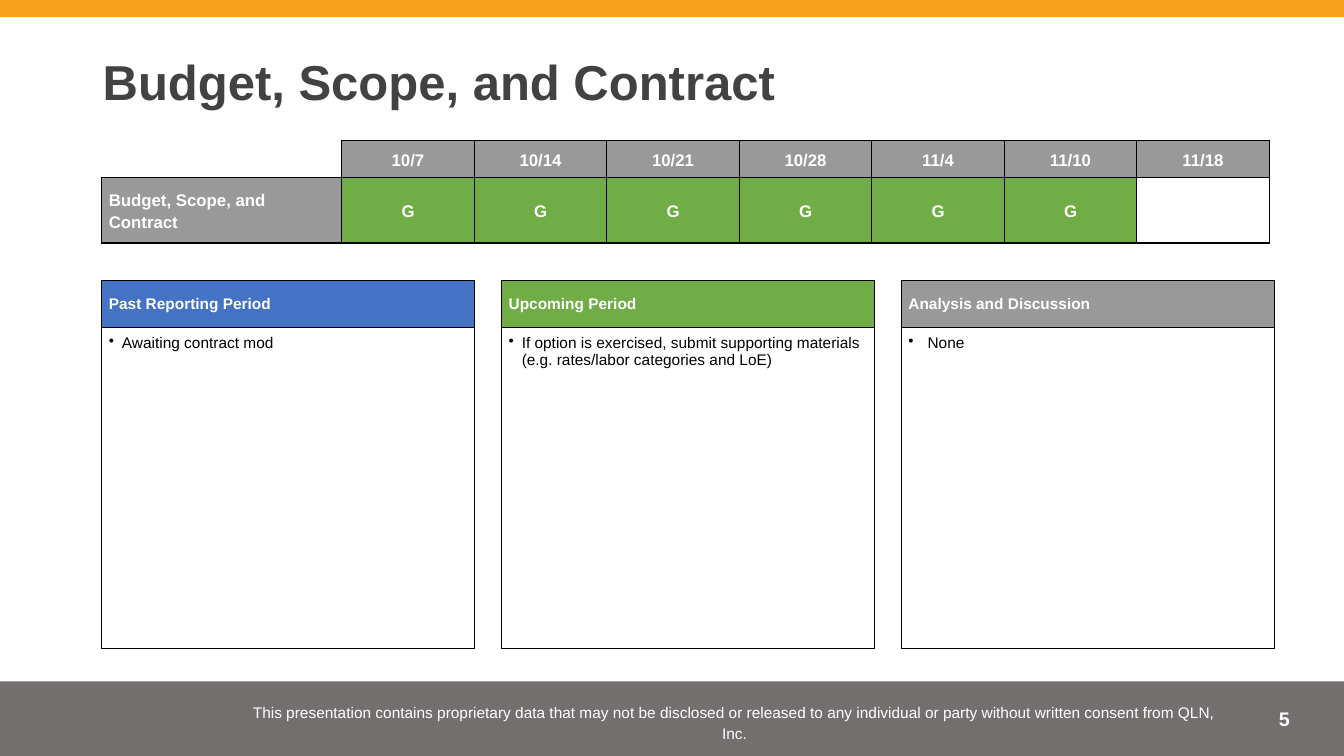
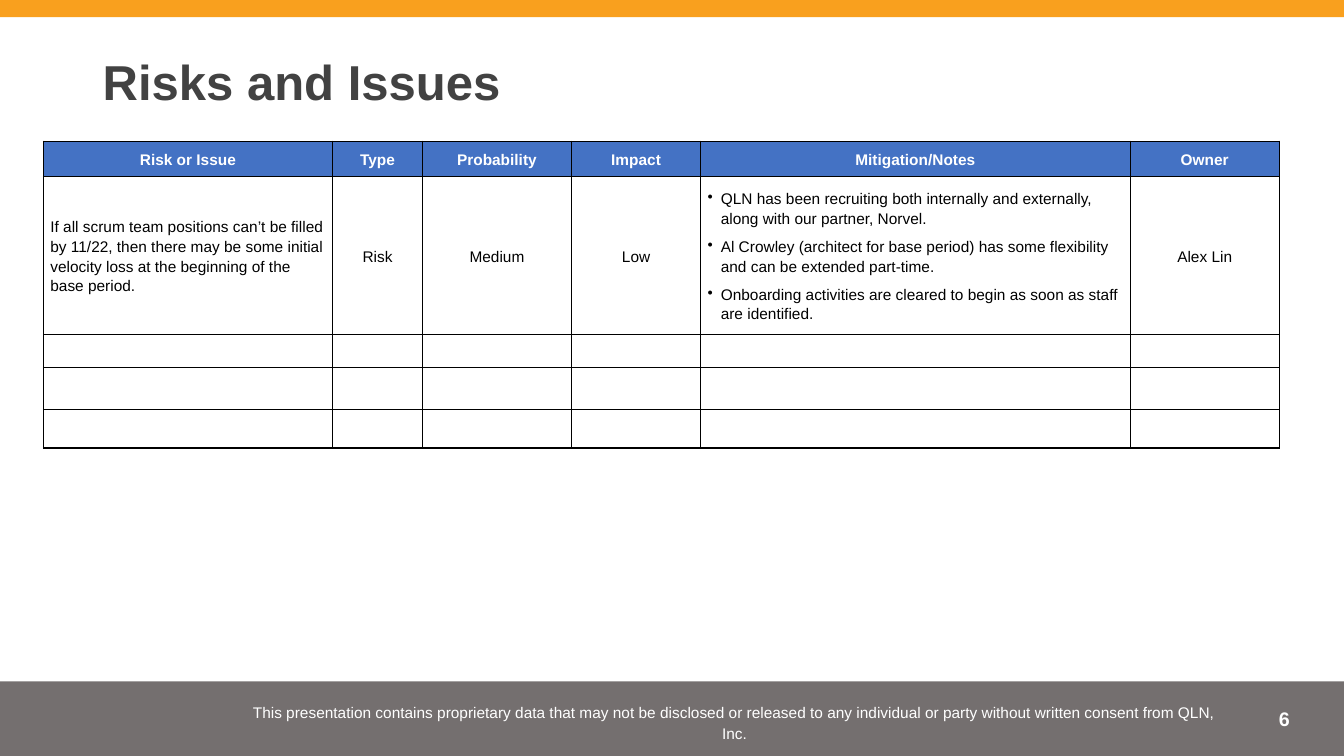
from lxml.etree import SubElement
from pptx import Presentation
from pptx.dml.color import RGBColor
from pptx.enum.shapes import MSO_SHAPE as Shape
from pptx.enum.text import MSO_ANCHOR as Anchor, PP_ALIGN as Align
from pptx.oxml.ns import qn
from pptx.util import Inches, Pt

ORANGE = RGBColor(0xF9, 0xA0, 0x1E)
BAND = RGBColor(0x4F, 0x49, 0x49)
TITLE = RGBColor(0x42, 0x42, 0x42)
GRAY = RGBColor(0x99, 0x99, 0x99)
GREEN = RGBColor(0x70, 0xAD, 0x47)
BLUE = RGBColor(0x44, 0x72, 0xC4)
WHITE = RGBColor(0xFF, 0xFF, 0xFF)
BLACK = RGBColor(0, 0, 0)

FONT = "Arial"
SLIDE_WIDTH, SLIDE_HEIGHT = 13.33, 7.5
CELL_INSET = 0.07
NOTICE = ("This presentation contains proprietary data that may not be disclosed or "
          "released to any individual or party without written consent from QLN, Inc.")


def write_text(frame, *lines, size=11, color=BLACK, bold=False, align=Align.LEFT,
               spacing=1.0, bullet_indent=0):
    """Write one paragraph per line, bulleted when an indent is given."""
    for index, line in enumerate(lines):
        paragraph = frame.add_paragraph() if index else frame.paragraphs[0]
        paragraph.alignment = align
        paragraph.line_spacing = spacing
        if bullet_indent:
            paragraph.space_after = Pt(6)
            properties = paragraph._p.get_or_add_pPr()
            properties.set("marL", str(Inches(bullet_indent)))
            properties.set("indent", str(-Inches(bullet_indent)))
            SubElement(properties, qn("a:buChar"), char="•")
        if not line:
            SubElement(paragraph._p, qn("a:endParaRPr"), sz=str(size * 100))
            continue
        run = paragraph.add_run()
        run.text = line
        run.font.name = FONT
        run.font.size = Pt(size)
        run.font.bold = bold
        run.font.color.rgb = color


def add_text(slide, box, text, inset=0.1, anchor=Anchor.MIDDLE, **style):
    frame = slide.shapes.add_textbox(*map(Inches, box)).text_frame
    frame.word_wrap = True
    frame.vertical_anchor = anchor
    frame.margin_left = frame.margin_right = Inches(0.1)
    frame.margin_top = frame.margin_bottom = Inches(inset)
    write_text(frame, text, **style)


def add_band(slide, top, height, color, opacity=100):
    band = slide.shapes.add_shape(
        Shape.RECTANGLE, 0, Inches(top), Inches(SLIDE_WIDTH), Inches(height))
    band.shadow.inherit = False
    band.line.fill.background()
    band.fill.solid()
    band.fill.fore_color.rgb = color
    if opacity < 100:
        color_element = band.fill._xPr.find(qn("a:solidFill"))[0]
        SubElement(color_element, qn("a:alpha"), val=str(opacity * 1000))


def add_grid(slide, left, top, columns, rows):
    """Add an unstyled table with the given column widths and row heights."""
    table = slide.shapes.add_table(
        len(rows), len(columns), Inches(left), Inches(top),
        Inches(sum(columns)), Inches(sum(rows))).table
    table.first_row = table.horz_banding = False
    for column, width in zip(table.columns, columns):
        column.width = Inches(width)
    for row, height in zip(table.rows, rows):
        row.height = Inches(height)
    return table


def fill_cell(cell, *lines, fill=WHITE, anchor=Anchor.MIDDLE, borders="LRTB", **style):
    properties = cell._tc.get_or_add_tcPr()
    for side in "LRTB":
        line = SubElement(properties, qn(f"a:ln{side}"), w=str(Pt(1)))
        if side in borders:
            solid = SubElement(line, qn("a:solidFill"))
            SubElement(solid, qn("a:srgbClr"), val=str(BLACK))
        else:
            SubElement(line, qn("a:noFill"))
    cell.fill.solid()
    cell.fill.fore_color.rgb = fill
    cell.vertical_anchor = anchor
    cell.margin_left = cell.margin_right = Inches(CELL_INSET)
    cell.margin_top = cell.margin_bottom = Inches(CELL_INSET)
    write_text(cell.text_frame, *(lines or [""]), **style)


def add_base_slide(presentation, title, number):
    """Add a slide with the shared bands, footer and title."""
    slide = presentation.slides.add_slide(presentation.slide_layouts[6])
    add_band(slide, 6.76, 0.74, BAND, opacity=79)
    add_band(slide, 0, 0.17, ORANGE)
    add_text(slide, (11.81, 6.96, 1.08, 0.4), str(number), inset=0.05,
             anchor=Anchor.TOP, size=14, color=WHITE, bold=True, align=Align.RIGHT)
    add_text(slide, (2.27, 6.89, 10.03, 0.53), NOTICE, color=WHITE,
             align=Align.CENTER, spacing=1.15)
    add_text(slide, (0.92, 0.46, 11.5, 0.77), title, size=35, color=TITLE,
             bold=True, spacing=0.9)
    return slide


def add_status_table(slide, left, top, width, label, dates, statuses):
    label_width = 2.38
    date_width = (width - label_width) / len(dates)
    table = add_grid(slide, left, top, [label_width] + [date_width] * len(dates),
                     [0.36, 0.65])
    style = dict(size=12, color=WHITE, bold=True, spacing=1.15)
    fill_cell(table.cell(0, 0), borders="RB")
    fill_cell(table.cell(1, 0), label, fill=GRAY, **style)
    for column, (date, status) in enumerate(zip(dates, statuses), start=1):
        fill_cell(table.cell(0, column), date, fill=GRAY, align=Align.CENTER, **style)
        fill_cell(table.cell(1, column), status, fill=GREEN if status else WHITE,
                  align=Align.CENTER, **style)


def add_panels(slide, left, top, width, panels):
    """Spread equal panels, each a heading over a bullet, across the width."""
    panel_width = 3.7
    pitch = (width - panel_width) / (len(panels) - 1)
    for index, (heading, color, item, indent) in enumerate(panels):
        table = add_grid(slide, left + index * pitch, top, [panel_width], [0.47, 3.18])
        fill_cell(table.cell(0, 0), heading, fill=color, color=WHITE, bold=True)
        fill_cell(table.cell(1, 0), item, anchor=Anchor.TOP, bullet_indent=indent)


def add_risk_table(slide, left, top, headings, risks):
    widths = [2.87, 0.89, 1.48, 1.28, 4.26, 1.48]
    heights = [0.34, 1.48, 0.31, 0.42, 0.38]
    table = add_grid(slide, left, top, widths, heights)
    for column, heading in enumerate(headings):
        fill_cell(table.cell(0, column), heading, fill=BLUE, color=WHITE, bold=True,
                  align=Align.CENTER, spacing=1.15)
    for row in range(1, len(heights)):
        values = risks[row - 1] if row <= len(risks) else [""] * len(widths)
        for column, value in enumerate(values):
            cell = table.cell(row, column)
            if isinstance(value, list):
                fill_cell(cell, *value, spacing=1.15, bullet_indent=0.13)
            else:
                fill_cell(cell, value, spacing=1.15,
                          align=Align.CENTER if column else Align.LEFT)


def build_budget_slide(presentation):
    slide = add_base_slide(presentation, "Budget, Scope, and Contract", 5)
    add_status_table(
        slide, 1.01, 1.39, 11.58, "Budget, Scope, and Contract",
        ["10/7", "10/14", "10/21", "10/28", "11/4", "11/10", "11/18"],
        ["G"] * 6 + [""])
    add_panels(slide, 1.01, 2.78, 11.63, [
        ("Past Reporting Period", BLUE, "Awaiting contract mod", 0.13),
        ("Upcoming Period", GREEN,
         "If option is exercised, submit supporting materials "
         "(e.g. rates/labor categories and LoE)", 0.13),
        ("Analysis and Discussion", GRAY, "None", 0.19),
    ])


def build_risk_slide(presentation):
    slide = add_base_slide(presentation, "Risks and Issues", 6)
    add_risk_table(
        slide, 0.43, 1.4,
        ["Risk or Issue", "Type", "Probability", "Impact", "Mitigation/Notes", "Owner"],
        [["If all scrum team positions can’t be filled by 11/22, then there may be "
          "some initial velocity loss at the beginning of the base period.",
          "Risk", "Medium", "Low",
          ["QLN has been recruiting both internally and externally, along with our "
           "partner, Norvel.",
           "Al Crowley (architect for base period) has some flexibility and can be "
           "extended part-time.",
           "Onboarding activities are cleared to begin as soon as staff are identified."],
          "Alex Lin"]])


def main():
    presentation = Presentation()
    presentation.slide_width = Inches(SLIDE_WIDTH)
    presentation.slide_height = Inches(SLIDE_HEIGHT)
    build_budget_slide(presentation)
    build_risk_slide(presentation)
    presentation.save("out.pptx")


if __name__ == "__main__":
    main()
